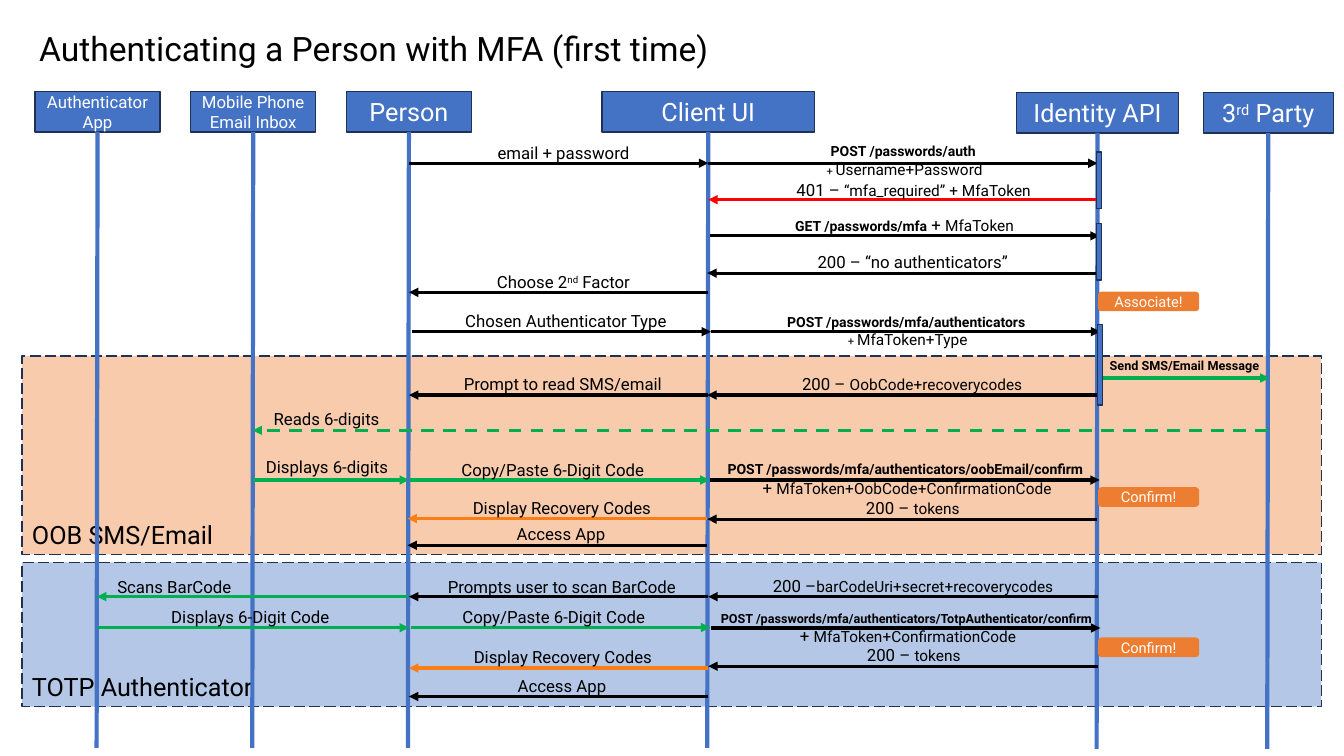
import pptx
import pptx.dml.color
import pptx.enum.dml
import pptx.enum.shapes
import pptx.enum.text
import pptx.oxml.ns
import pptx.util
from lxml import etree

Pt = pptx.util.Pt
SHAPE = pptx.enum.shapes.MSO_SHAPE
DASH = pptx.enum.dml.MSO_LINE
ALIGN = pptx.enum.text.PP_ALIGN
ANCHOR = pptx.enum.text.MSO_ANCHOR

THEME = {
    "font": "Roboto", "black": "000000", "white": "FFFFFF",
    "blue": "4472C4", "navy": "1E3256", "peach": "F8CBAD", "sky": "B4C7E7",
    "tag": "ED7D31", "green": "00B050", "red": "FF0000", "orange": "FA7E14",
    "title": 24, "head": 18, "body": 12, "detail": 11, "tag_size": 10.5,
    "call": 10, "small": 9, "tiny": 8,
}


def call(text, size="call"):
    return (text, {"size": size, "bold": True})


def detail(text):
    return (text, {"size": "detail"})


def raised(text):
    return (text, {"raised": True})


TITLE = "Authenticating a Person with MFA (first time)"

PANELS = [
    ("OOB SMS/Email", 254.2, 141.8, "peach"),
    ("TOTP Authenticator", 401.8, 103, "sky"),
]
PANEL_LEFT, PANEL_WIDTH = 15.8, 928

HEAD_HEIGHT, LIFELINE_LENGTH = 28.8, 440
LANES = {
    "app": (69.7, 65.5, 89.3, "body", ["Authenticator App"]),
    "phone": (180.9, 65.5, 89.3, "body", ["Mobile Phone", "Email Inbox"]),
    "person": (292.1, 65.5, 89.3, "head", ["Person"]),
    "client": (505.9, 65.5, 151.9, "head", ["Client UI"]),
    "api": (784, 66.2, 115.9, "head", ["Identity API"]),
    "third": (905.9, 66.2, 92.9, "head", [["3", raised("rd"), " Party"]]),
}

PLUS_SMALL = [(" ", {"size": "small"}), ("+ ", {"size": "tiny"})]

# source, target, y, shift, colour, label centre, label width, label rise, label
MESSAGES = [
    ("person", "client", 116.6, 0, "black", 402.5, 109.4, 18, ["email + password"]),
    ("client", "api", 116.6, 0, "black", 645.1, 129.6, 18,
     [[call("POST /passwords/auth")], [*PLUS_SMALL, detail("Username+Password")]]),
    ("api", "client", 142.6, 0, "red", 652.7, 185, 18,
     [["401 – ", detail("“mfa_required” + MfaToken")]]),
    ("client", "api", 168.5, 1.5, "black", 646.2, 177.8, 18.7,
     [[call("GET /passwords/mfa"), " + ", detail("MfaToken")]]),
    ("api", "client", 195.1, -0.7, "black", 652, 151.9, 18.7,
     ["200 – “no authenticators”"]),
    ("client", "person", 208.8, 0, "black", 402.5, 112.3, 18,
     [["Choose 2", raised("nd"), " Factor"]]),
    ("person", "client", 236.9, 2, "black", 404.3, 160.6, 18.7,
     ["Chosen Authenticator Type"]),
    ("client", "api", 236.9, 2, "black", 647.3, 187.2, 16.6,
     [[call("POST /passwords/mfa/authenticators")], [*PLUS_SMALL, detail("MfaToken+Type")]]),
    ("api", "third", 270, 1, "green", 846, 122.4, 18,
     [[call("Send SMS/Email Message", "small")]]),
    ("api", "client", 282.2, -0.7, "black", 651.6, 178.6, 18.7,
     [["200 – ", detail("OobCode+recoverycodes")]]),
    ("client", "person", 282.2, 0, "black", 402.1, 157.7, 18.7, ["Prompt to read SMS/email"]),
    ("third", "phone", 307.4, -0.5, "green", 233.3, 90.7, 18.7, ["Reads 6-digits"]),
    ("phone", "person", 342.9, 0, "green", 233.6, 103, 20.3, ["Displays 6-digits"]),
    ("person", "client", 342.9, 1, "green", 394.9, 146.2, 18, ["Copy/Paste 6-Digit Code"]),
    ("client", "api", 342.9, 1.5, "black", 646.6, 272.2, 17.3,
     [[call("POST /passwords/mfa/authenticators/oobEmail/confirm")],
      [" + ", detail("MfaToken+OobCode+ConfirmationCode")]]),
    ("api", "client", 370.8, -0.7, "black", 652, 82.8, 18.7, [["200 – ", detail("tokens")]]),
    ("client", "person", 370.4, -1, "orange", 401.4, 143.3, 18.3, ["Display Recovery Codes"]),
    ("client", "person", 389.5, -1, "black", 400.7, 78.5, 18.7, ["Access App"]),
    ("api", "client", 426.2, 0, "black", 652.3, 217.4, 18.7,
     [["200 –", detail("barCodeUri+secret+recoverycodes")]]),
    ("client", "person", 426.2, 0, "black", 401.4, 179.3, 18, ["Prompts user to scan BarCode"]),
    ("person", "app", 426.2, -0.5, "green", 124.6, 96.5, 18, ["Scans BarCode"]),
    ("app", "person", 448.4, 0, "green", 178.9, 127.4, 18.5, ["Displays 6-Digit Code"]),
    ("person", "client", 448.2, 1.5, "green", 395.6, 146.2, 18.3, ["Copy/Paste 6-Digit Code"]),
    ("client", "api", 448.6, 2, "black", 647.3, 280.8, 15.8,
     [[call("POST /passwords/mfa/authenticators/TotpAuthenticator/confirm", "small")],
      [" + ", detail("MfaToken+ConfirmationCode")]]),
    ("api", "client", 475.9, 0, "black", 652.7, 82.8, 18.7, [["200 – ", detail("tokens")]]),
    ("client", "person", 477.2, 0, "orange", 402.1, 143.3, 18.5, ["Display Recovery Codes"]),
    ("client", "person", 497.5, 0, "black", 401.4, 78.5, 18.7, ["Access App"]),
]

ACTIVATIONS = [(783.4, 108.7, 40.3), (783.4, 159.8, 40.3), (784.1, 231.8, 57.6)]
ACTIVATION_WIDTH = 3.6

TAGS = [("Associate!", 208.8), ("Confirm!", 348.5), ("Confirm!", 455.8)]
TAG_LEFT, TAG_WIDTH, TAG_HEIGHT = 784.8, 71.3, 13


def rgb(name):
    return pptx.dml.color.RGBColor.from_string(THEME[name])


def write_text(tf, text, size="body", color="black", align=ALIGN.CENTER,
               anchor=ANCHOR.MIDDLE, wrap=True):
    tf.word_wrap = wrap
    tf.vertical_anchor = anchor
    for i, runs in enumerate(text):
        p = tf.paragraphs[0] if i == 0 else tf.add_paragraph()
        p.alignment = align
        for run in [runs] if isinstance(runs, str) else runs:
            content, style = (run, {}) if isinstance(run, str) else run
            r = p.add_run()
            r.text = content
            r.font.name = THEME["font"]
            r.font.size = Pt(THEME[style.get("size", size)])
            r.font.bold = style.get("bold", False)
            r.font.color.rgb = rgb(color)
            if style.get("raised"):
                r.font._element.set("baseline", "30000")


def add_box(s, kind, left, top, width, height, fill, line="navy"):
    sp = s.shapes.add_shape(kind, Pt(left), Pt(top), Pt(width), Pt(height))
    sp.shadow.inherit = False
    sp.fill.solid()
    sp.fill.fore_color.rgb = rgb(fill)
    sp.line.color.rgb = rgb(line)
    sp.line.width = Pt(1)
    return sp


def add_label(s, left, top, width, height, text, **style):
    sp = s.shapes.add_textbox(Pt(left), Pt(top), Pt(width), Pt(height))
    write_text(sp.text_frame, text, anchor=ANCHOR.TOP, wrap=False, **style)
    sp.text_frame.auto_size = pptx.enum.text.MSO_AUTO_SIZE.SHAPE_TO_FIT_TEXT


def add_line(s, x1, y1, x2, y2, color, width, arrow=False):
    line = s.shapes.add_connector(pptx.enum.shapes.MSO_CONNECTOR.STRAIGHT,
                                  Pt(x1), Pt(y1), Pt(x2), Pt(y2))
    line.line.color.rgb = rgb(color)
    line.line.width = Pt(width)
    if arrow:
        tail = etree.SubElement(line.line._get_or_add_ln(), pptx.oxml.ns.qn("a:tailEnd"))
        tail.set("type", "triangle")
    etree.SubElement(line._element.spPr, pptx.oxml.ns.qn("a:effectLst"))
    return line


def main():
    prs = pptx.Presentation()
    prs.slide_width, prs.slide_height = Pt(960), Pt(540)
    s = prs.slides.add_slide(prs.slide_layouts[6])

    for name, top, height, fill in PANELS:
        sp = add_box(s, SHAPE.RECTANGLE, PANEL_LEFT, top, PANEL_WIDTH, height, fill)
        sp.line.dash_style = DASH.LONG_DASH
        write_text(sp.text_frame, [name], size="head", align=ALIGN.LEFT, anchor=ANCHOR.BOTTOM)

    add_label(s, 20.9, 16.6, 501, 36, [TITLE], size="title", align=ALIGN.LEFT)

    for x, top, width, size, name in LANES.values():
        sp = add_box(s, SHAPE.RECTANGLE, x - width / 2, top, width, HEAD_HEIGHT, "blue")
        write_text(sp.text_frame, name, size=size, color="white")
        bottom = top + HEAD_HEIGHT
        line = add_line(s, x, bottom, x - 0.7, bottom + LIFELINE_LENGTH, "blue", 3)
        line.begin_connect(sp, 2)

    for source, target, y, shift, color, centre, width, rise, text in MESSAGES:
        line = add_line(s, LANES[source][0] + shift, y, LANES[target][0] + shift, y,
                        color, 2.25, arrow=True)
        if source == "third":
            line.line.dash_style = DASH.DASH
        height = 21.6 if len(text) == 1 else 32.8
        add_label(s, centre - width / 2, y - rise, width, height, text)

    for left, top, height in ACTIVATIONS:
        add_box(s, SHAPE.RECTANGLE, left, top, ACTIVATION_WIDTH, height, "blue")

    for name, top in TAGS:
        sp = add_box(s, SHAPE.ROUNDED_RECTANGLE, TAG_LEFT, top, TAG_WIDTH, TAG_HEIGHT,
                     "tag", line="tag")
        write_text(sp.text_frame, [name], size="tag_size", color="white")

    prs.save("out.pptx")


if __name__ == "__main__":
    main()
